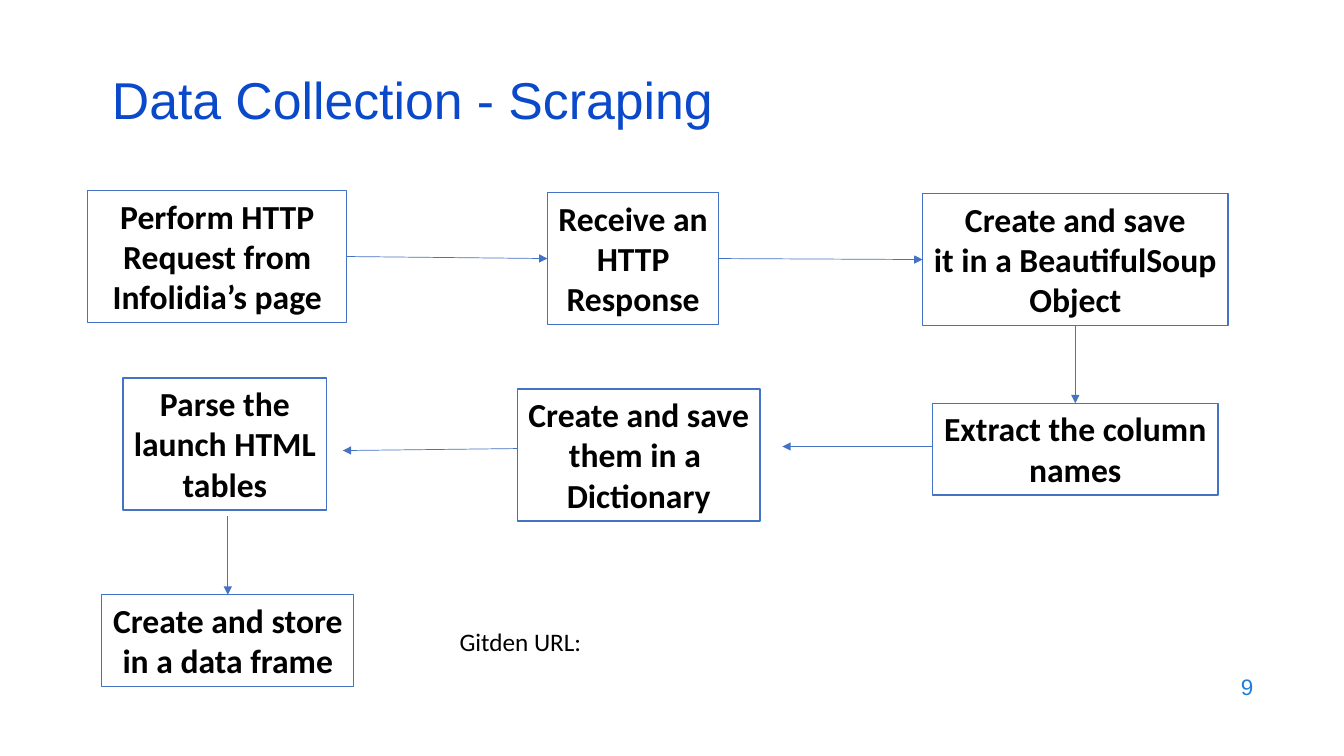
from dataclasses import dataclass

from lxml import etree
from pptx import Presentation
from pptx.dml.color import RGBColor
from pptx.enum.shapes import MSO_CONNECTOR, MSO_SHAPE
from pptx.enum.text import MSO_ANCHOR, MSO_AUTO_SIZE, PP_ALIGN
from pptx.oxml.ns import qn
from pptx.util import Emu, Pt

EMU_PER_PX = 9144  # 100 px to the inch
TITLE_ONLY = 5
RECTANGLE = MSO_SHAPE.RECTANGLE
STRAIGHT = MSO_CONNECTOR.STRAIGHT
LEFT, CENTER, RIGHT = PP_ALIGN.LEFT, PP_ALIGN.CENTER, PP_ALIGN.RIGHT
TOP_ANCHOR, MIDDLE = MSO_ANCHOR.TOP, MSO_ANCHOR.MIDDLE
GROW = MSO_AUTO_SIZE.SHAPE_TO_FIT_TEXT
FIXED = MSO_AUTO_SIZE.NONE
TOP_SIDE, LEFT_SIDE, BOTTOM_SIDE, RIGHT_SIDE = range(4)


@dataclass(frozen=True)
class Theme:
    heading_font: str = "Arial"
    body_font: str = "Calibri"
    title_color: str = "0B49CB"
    number_color: str = "1C7DDB"
    text_color: str = "000000"
    box_fill: str = "FFFFFF"
    line_color: str = "4472C4"
    title_size: int = 37
    step_size: int = 24
    label_size: int = 18
    number_size: int = 16
    box_line: float = 1
    arrow_line: float = 0.5


THEME = Theme()

STEPS = {
    "request": ((87, 189, 257, 131), "Perform HTTP\nRequest from\nInfolidia’s page"),
    "response": ((543, 191, 170, 131), "Receive an\nHTTP\nResponse"),
    "soup": ((915, 192, 303, 131), "Create and save\nit in a BeautifulSoup\nObject"),
    "columns": ((925, 400, 283, 91), "Extract the column\nnames"),
    "dictionary": ((513, 386, 241, 131), "Create and save\nthem in a \nDictionary"),
    "tables": ((122, 375, 202, 131), "Parse the\nlaunch HTML\ntables"),
    "frame": ((101, 590, 250, 91), "Create and store\nin a data frame"),
}

# An end is either a step with one of its sides, or a free point.
ARROWS = [
    (("request", RIGHT_SIDE), ("response", LEFT_SIDE)),
    (("response", RIGHT_SIDE), ("soup", LEFT_SIDE)),
    (("soup", BOTTOM_SIDE), ("columns", TOP_SIDE)),
    ((925, 443), (776, 443)),
    ((513, 445), (340, 447)),
    ((226, 512), ("frame", TOP_SIDE)),
]


def px(value):
    return Emu(value * EMU_PER_PX)


def color(value):
    return RGBColor.from_string(value)


def write(shape, text, font, size, ink, align=LEFT, anchor=TOP_ANCHOR, bold=False):
    frame = shape.text_frame
    frame.text = text
    frame.vertical_anchor = anchor
    for paragraph in frame.paragraphs:
        paragraph.alignment = align
        for run in paragraph.runs:
            run.font.name = font
            run.font.size = Pt(size)
            run.font.bold = bold
            run.font.color.rgb = color(ink)


def set_title(slide, text, bounds):
    title = slide.shapes.title
    title.left, title.top, title.width, title.height = map(px, bounds)
    write(title, text, THEME.heading_font, THEME.title_size, THEME.title_color,
          anchor=MIDDLE)
    title.text_frame.auto_size = FIXED
    title.text_frame.paragraphs[0].line_spacing = 0.7


def add_step(slide, bounds, text):
    box = slide.shapes.add_shape(RECTANGLE, *map(px, bounds))
    box.shadow.inherit = False
    box.fill.solid()
    box.fill.fore_color.rgb = color(THEME.box_fill)
    box.line.color.rgb = color(THEME.line_color)
    box.line.width = Pt(THEME.box_line)
    write(box, text, THEME.body_font, THEME.step_size, THEME.text_color, CENTER, bold=True)
    box.text_frame.word_wrap = False
    box.text_frame.auto_size = GROW
    return box


def add_arrow(slide, boxes, start, end):
    """Glue each end that names a step to its box; leave the others free."""
    points = [(0, 0) if point[0] in boxes else point for point in (start, end)]
    arrow = slide.shapes.add_connector(STRAIGHT, *(px(value) for point in points for value in point))
    if start[0] in boxes:
        arrow.begin_connect(boxes[start[0]], start[1])
    if end[0] in boxes:
        arrow.end_connect(boxes[end[0]], end[1])
    arrow.line.color.rgb = color(THEME.line_color)
    arrow.line.width = Pt(THEME.arrow_line)
    etree.SubElement(arrow.line._get_or_add_ln(), qn("a:tailEnd"), type="triangle")
    etree.SubElement(arrow._element.spPr, qn("a:effectLst"))


def add_label(slide, text, bounds, *style, wrap=True):
    label = slide.shapes.add_textbox(*map(px, bounds))
    write(label, text, *style)
    label.text_frame.word_wrap = wrap


def main():
    presentation = Presentation()
    presentation.slide_width, presentation.slide_height = px(1333), px(750)
    slide = presentation.slides.add_slide(presentation.slide_layouts[TITLE_ONLY])
    set_title(slide, "Data Collection - Scraping", (101, 76, 1150, 60))
    boxes = {name: add_step(slide, bounds, text) for name, (bounds, text) in STEPS.items()}
    for start, end in ARROWS:
        add_arrow(slide, boxes, start, end)
    add_label(slide, "Gitden URL:", (446, 616, 143, 40),
              THEME.body_font, THEME.label_size, THEME.text_color, wrap=False)
    add_label(slide, "9", (953, 659, 300, 44),
              THEME.heading_font, THEME.number_size, THEME.number_color, RIGHT, MIDDLE)
    presentation.save("out.pptx")


if __name__ == "__main__":
    main()
